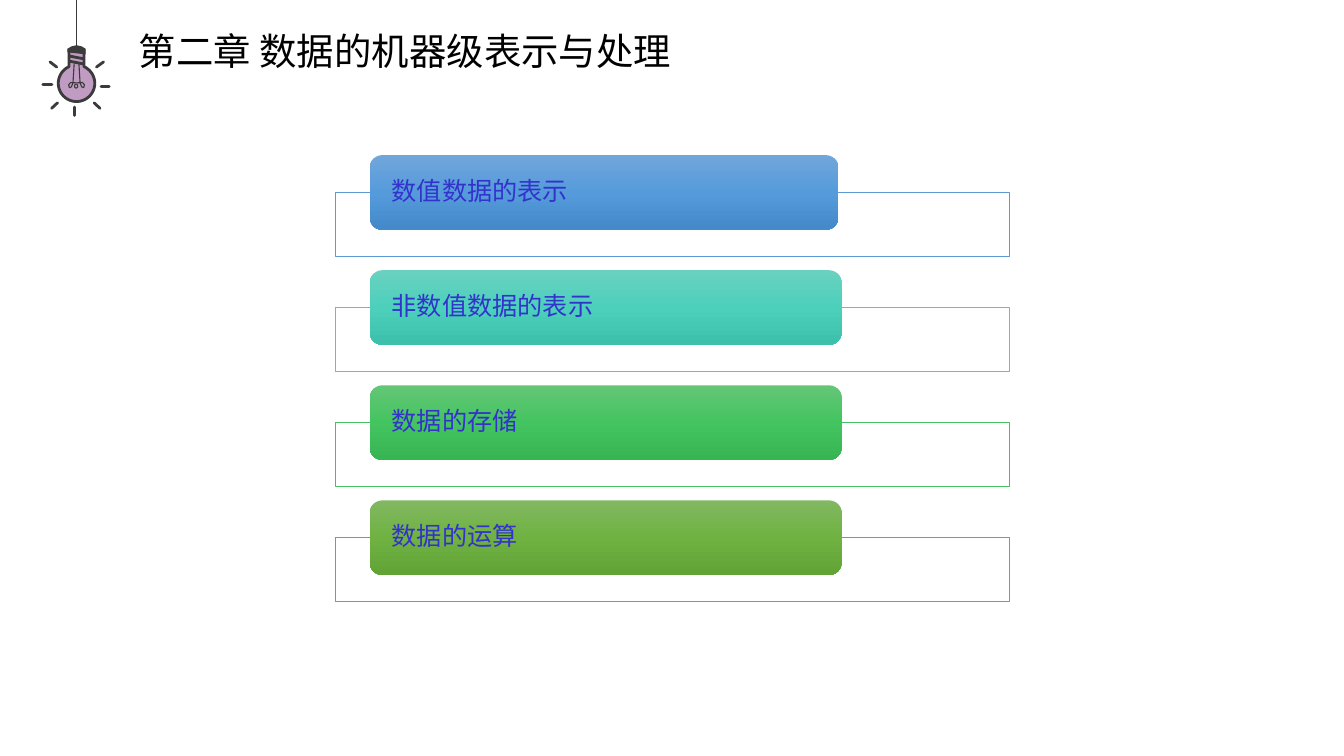
import copy
import math

import lxml.etree
import pptx
import pptx.dml.color
import pptx.enum.shapes
import pptx.enum.text
import pptx.oxml.ns
import pptx.util

Cm = pptx.util.Cm
Pt = pptx.util.Pt
RGB = pptx.dml.color.RGBColor
SHAPE = pptx.enum.shapes.MSO_SHAPE
ANCHOR = pptx.enum.text.MSO_ANCHOR
qn = pptx.oxml.ns.qn

# Content
TITLE = "第二章 数据的机器级表示与处理"
FONT = "Noto Sans CJK SC"
BLACK = RGB(0x00, 0x00, 0x00)
WHITE = RGB(0xFF, 0xFF, 0xFF)
INK = RGB(0x33, 0x33, 0xCC)
DARK = RGB(0x3B, 0x3B, 0x3B)
GLASS = RGB(0xC0, 0x9C, 0xC2)

# Topic, bar width, frame line, bar gradient from top to bottom
TOPICS = [
    ("数值数据的表示", 11.81, RGB(0x5B, 0x9B, 0xD5),
     (RGB(0x71, 0xA6, 0xDB), RGB(0x55, 0x9B, 0xDB), RGB(0x44, 0x8A, 0xCA))),
    ("非数值数据的表示", 11.89, RGB(0x52, 0xCA, 0xB8),
     (RGB(0x6A, 0xD1, 0xC0), RGB(0x4C, 0xD0, 0xBC), RGB(0x3C, 0xC0, 0xAC))),
    ("数据的存储", 11.89, RGB(0x49, 0xBF, 0x64),
     (RGB(0x64, 0xC6, 0x77), RGB(0x44, 0xC4, 0x60), RGB(0x36, 0xB5, 0x52))),
    ("数据的运算", 11.89, RGB(0x70, 0xAD, 0x47),
     (RGB(0x81, 0xB8, 0x61), RGB(0x6F, 0xB2, 0x42), RGB(0x62, 0xA3, 0x36))),
]
STEP = 2.9

# Bulb, in centimetres
MID_X, MID_Y, RADIUS, NECK = 1.93, 2.1, 0.46, 0.19
CAP = [(1.7, 1.32), (1.7, 1.23), (1.8, 1.17), (1.93, 1.14),
       (2.06, 1.17), (2.16, 1.23), (2.16, 1.37)]
WIRE = [(1.87, 1.6), (1.84, 2.09), (1.8, 2.19), (1.75, 2.21),
        (1.73, 2.14), (1.78, 2.08), (1.93, 2.09)]
RAYS = [
    (2.55, 2.17, 2.75, 2.17), (1.88, 2.7, 1.88, 2.91), (1.08, 2.13, 1.31, 2.13),
    (1.26, 1.56, 1.43, 1.69), (2.61, 1.56, 2.43, 1.69),
    (1.45, 2.59, 1.3, 2.73), (2.37, 2.59, 2.52, 2.73),
]
THREADS = [(1.74, 1.41, 2.1, 1.48), (1.74, 1.54, 2.1, 1.61)]


def write(frame, text, size=18, color=INK, anchor=ANCHOR.MIDDLE, side=0.46, edge=0):
    frame.word_wrap = True
    frame.auto_size = pptx.enum.text.MSO_AUTO_SIZE.NONE
    frame.vertical_anchor = anchor
    frame.margin_left = frame.margin_right = Cm(side)
    frame.margin_top = frame.margin_bottom = Cm(edge)
    par = frame.paragraphs[0]
    par.alignment = pptx.enum.text.PP_ALIGN.LEFT
    par.line_spacing = 0.9
    par.space_before = Pt(0)
    run = par.add_run()
    run.text = text
    run.font.size = Pt(size)
    run.font.name = FONT
    run.font.color.rgb = color
    east = lxml.etree.SubElement(run.font._element, qn("a:ea"))
    east.set("typeface", FONT)


def paint(shape, fill=None, line=None, weight=1):
    shape.shadow.inherit = False
    if fill is None:
        shape.fill.background()
    else:
        shape.fill.solid()
        shape.fill.fore_color.rgb = fill
    if line is None:
        shape.line.fill.background()
    else:
        shape.line.color.rgb = line
        shape.line.width = Pt(weight)


def block(shapes, kind, left, top, width, height, **look):
    shape = shapes.add_shape(kind, Cm(left), Cm(top), Cm(width), Cm(height))
    paint(shape, **look)
    return shape


def trace(shapes, points, close=True, **look):
    spots = [(Cm(x), Cm(y)) for x, y in points]
    form = shapes.build_freeform(*spots[0])
    form.add_line_segments(spots[1:], close=close)
    paint(form.convert_to_shape(), **look)


def stroke(shapes, ends, weight=2, cap="flat"):
    line = shapes.add_connector(
        pptx.enum.shapes.MSO_CONNECTOR.STRAIGHT, *(Cm(n) for n in ends))
    line.line.color.rgb = DARK
    line.line.width = Pt(weight)
    props = line._element.spPr
    props.find(qn("a:ln")).set("cap", cap)
    lxml.etree.SubElement(props, qn("a:effectLst"))


def shade(shape, colors):
    shape.fill.gradient()
    shape.fill.gradient_angle = 270
    stops = shape._element.spPr.find(".//" + qn("a:gsLst"))
    stops.insert(1, copy.deepcopy(stops[0]))
    for stop, color, place in zip(shape.fill.gradient_stops, colors, (0, 0.5, 1)):
        stop.color.rgb = color
        stop.position = place


def draw_bulb(shapes):
    # Glass: a round arc that opens into the neck
    gap = math.asin(NECK / RADIUS)
    turns = [gap + (2 * math.pi - 2 * gap) * i / 48 for i in range(49)]
    arc = [(MID_X + RADIUS * math.sin(t), MID_Y - RADIUS * math.cos(t)) for t in turns]
    glass = [(MID_X + NECK, 1.25)] + arc + [(MID_X - NECK, 1.25)]
    trace(shapes, glass, fill=GLASS, line=DARK, weight=2)
    trace(shapes, CAP, fill=DARK)
    for thread in THREADS:
        stroke(shapes, thread)
    # Filament: the left half and its mirror
    other = [(2 * MID_X - x, y) for x, y in reversed(WIRE[:-1])]
    trace(shapes, WIRE + other, close=False, line=DARK, weight=0.8)
    block(shapes, SHAPE.OVAL, 1.88, 2.12, 0.08, 0.1, line=DARK, weight=0.8)
    for ray in RAYS:
        stroke(shapes, ray, cap="rnd")
    stroke(shapes, (MID_X, 1.24, MID_X, 0), weight=1)


def draw_topics(shapes):
    for i, (text, width, line, colors) in enumerate(TOPICS):
        shift = i * STEP
        frame = block(shapes, SHAPE.RECTANGLE, 8.46, 4.85 + shift, 16.99, 1.6,
                      fill=WHITE, line=line, weight=0.5)
        tint = frame._element.spPr.find(".//" + qn("a:srgbClr"))
        lxml.etree.SubElement(tint, qn("a:alpha")).set("val", "90000")
        bar = block(shapes, SHAPE.ROUNDED_RECTANGLE, 9.32, 3.91 + shift, width, 1.88)
        shade(bar, colors)
        write(bar.text_frame, text)


def main():
    deck = pptx.Presentation()
    deck.slide_width, deck.slide_height = Cm(33.87), Cm(19.05)
    slide = deck.slides.add_slide(deck.slide_layouts[5])
    draw_bulb(slide.shapes)

    # Title
    title = slide.shapes.title
    title.left, title.top = Cm(3.25), Cm(0.71)
    title.width, title.height = Cm(29.67), Cm(1.85)
    write(title.text_frame, TITLE, size=26.7, color=BLACK,
          anchor=ANCHOR.TOP, side=0.25, edge=0.13)

    draw_topics(slide.shapes)
    deck.save("out.pptx")


if __name__ == "__main__":
    main()
